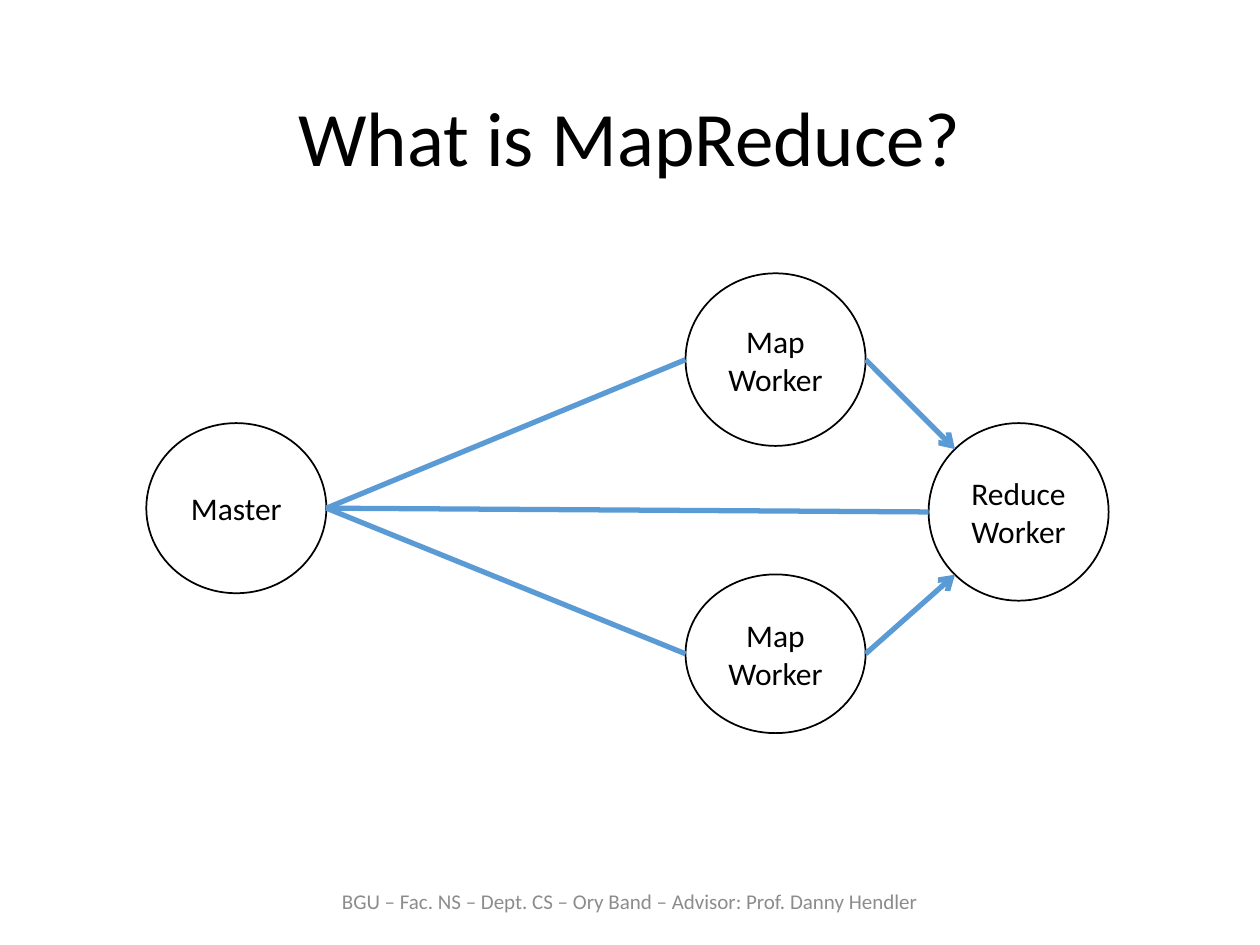
from dataclasses import dataclass
from math import cos, radians, sin

from pptx import Presentation
from pptx import util as u
from pptx.dml.color import RGBColor
from pptx.enum import shapes, text
from pptx.oxml.ns import qn
from lxml import etree


@dataclass(frozen=True)
class Theme:
    font: str = "Calibri"
    ink: str = "000000"
    paper: str = "FFFFFF"
    muted: str = "8C8C8C"
    link: str = "5B9BD5"
    title_size: int = 44
    node_size: int = 18
    footer_size: int = 12
    outline: int = 1
    link_width: int = 3


@dataclass(frozen=True)
class Node:
    """A round node; lengths in centimetres."""
    lines: tuple[str, ...]
    left: float
    top: float
    height: float
    width: float = 3.63

    def edge(self, degrees: float) -> tuple[float, float]:
        """Point on the rim, clockwise from the right-hand side."""
        a = radians(degrees)
        return (self.left + self.width / 2 * (1 + cos(a)),
                self.top + self.height / 2 * (1 + sin(a)))


@dataclass(frozen=True)
class Link:
    start: Node
    start_angle: float
    end: Node
    end_angle: float
    arrow: bool = False


THEME = Theme()
RIGHT, LEFT, UPPER_LEFT, LOWER_LEFT = 0, 180, 225, 135

MASTER = Node(("Master",), 2.95, 8.53, 3.43)
MAP_TOP = Node(("Map", "Worker"), 13.82, 5.51, 3.48)
REDUCE = Node(("Reduce", "Worker"), 18.72, 8.53, 3.58)
MAP_BOTTOM = Node(("Map", "Worker"), 13.82, 11.58, 3.2)
NODES = (MASTER, MAP_TOP, REDUCE, MAP_BOTTOM)

LINKS = (
    Link(MASTER, RIGHT, REDUCE, LEFT),
    Link(MAP_TOP, RIGHT, REDUCE, UPPER_LEFT, arrow=True),
    Link(MAP_BOTTOM, RIGHT, REDUCE, LOWER_LEFT, arrow=True),
    Link(MASTER, RIGHT, MAP_TOP, LEFT),
    Link(MASTER, RIGHT, MAP_BOTTOM, LEFT),
)


def rgb(value: str) -> RGBColor:
    return RGBColor.from_string(value)


def write(sp, lines: tuple[str, ...], size: int, color: str,
          spacing: float = 1.0) -> None:
    tf = sp.text_frame
    tf.word_wrap = True
    tf.vertical_anchor = text.MSO_ANCHOR.MIDDLE
    for i, line in enumerate(lines):
        p = tf.add_paragraph() if i else tf.paragraphs[0]
        p.alignment = text.PP_ALIGN.CENTER
        p.line_spacing = spacing
        r = p.add_run()
        r.text = line
        r.font.name = THEME.font
        r.font.size = u.Pt(size)
        r.font.color.rgb = rgb(color)


def add_band(s, line: str, top: float, height: float, size: int, color: str,
             spacing: float = 1.0) -> None:
    sp = s.shapes.add_textbox(u.Cm(1.75), u.Cm(top), u.Cm(21.9), u.Cm(height))
    write(sp, (line,), size, color, spacing)


def add_node(s, node: Node) -> None:
    sp = s.shapes.add_shape(shapes.MSO_SHAPE.OVAL, u.Cm(node.left),
                            u.Cm(node.top), u.Cm(node.width), u.Cm(node.height))
    sp.shadow.inherit = False
    sp.fill.solid()
    sp.fill.fore_color.rgb = rgb(THEME.paper)
    sp.line.color.rgb = rgb(THEME.ink)
    sp.line.width = u.Pt(THEME.outline)
    write(sp, node.lines, THEME.node_size, THEME.ink)


def add_link(s, link: Link) -> None:
    points = link.start.edge(link.start_angle) + link.end.edge(link.end_angle)
    sp = s.shapes.add_connector(shapes.MSO_CONNECTOR.STRAIGHT,
                                *(u.Cm(v) for v in points))
    sp.line.color.rgb = rgb(THEME.link)
    sp.line.width = u.Pt(THEME.link_width)
    props = sp._element.spPr
    if link.arrow:
        etree.SubElement(props.find(qn("a:ln")), qn("a:tailEnd"), type="arrow")
    etree.SubElement(props, qn("a:effectLst"))


def main() -> None:
    prs = Presentation()
    prs.slide_width, prs.slide_height = u.Cm(25.4), u.Cm(19.05)
    s = prs.slides.add_slide(prs.slide_layouts[6])

    # Title and footer
    add_band(s, "What is MapReduce?", 1.02, 3.68,
             THEME.title_size, THEME.ink, spacing=0.9)
    add_band(s, "BGU – Fac. NS – Dept. CS – Ory Band – Advisor: Prof. Danny Hendler",
             17.65, 1.02, THEME.footer_size, THEME.muted)

    # Diagram
    for node in NODES:
        add_node(s, node)
    for link in LINKS:
        add_link(s, link)

    prs.save("out.pptx")


if __name__ == "__main__":
    main()
